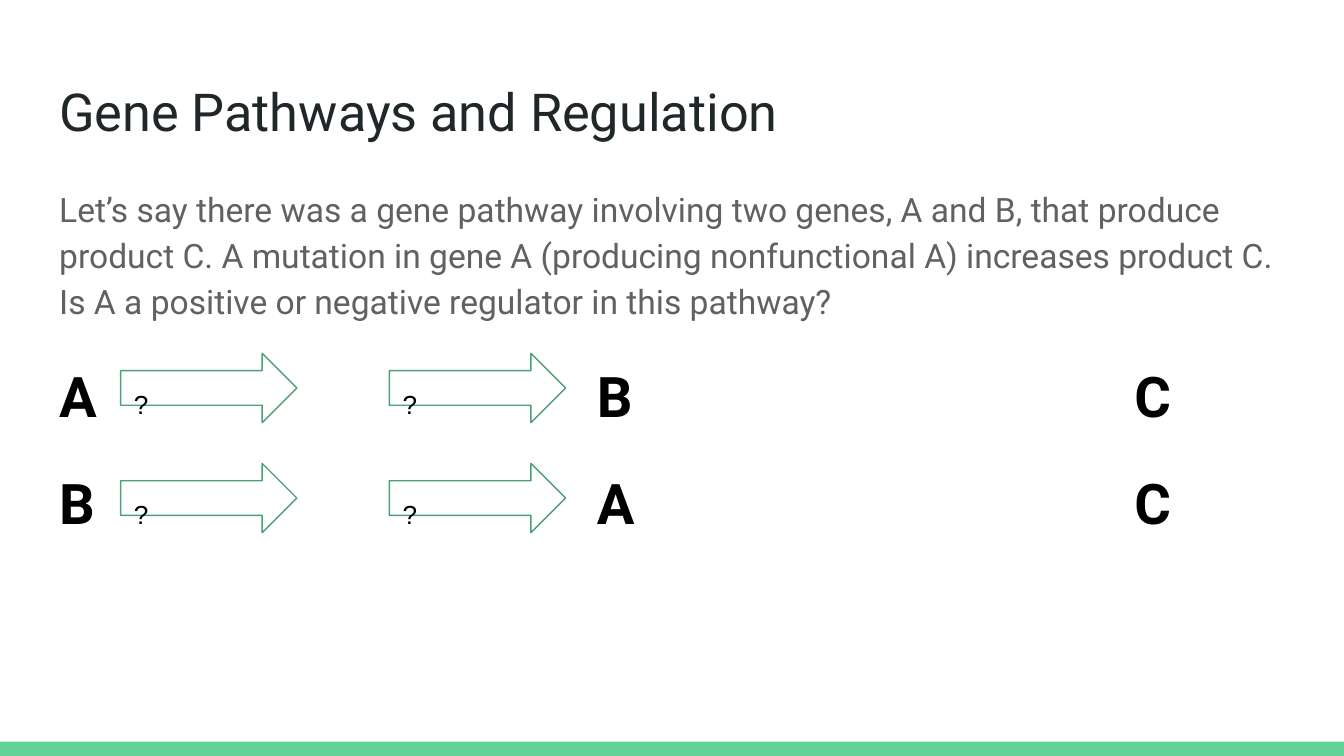
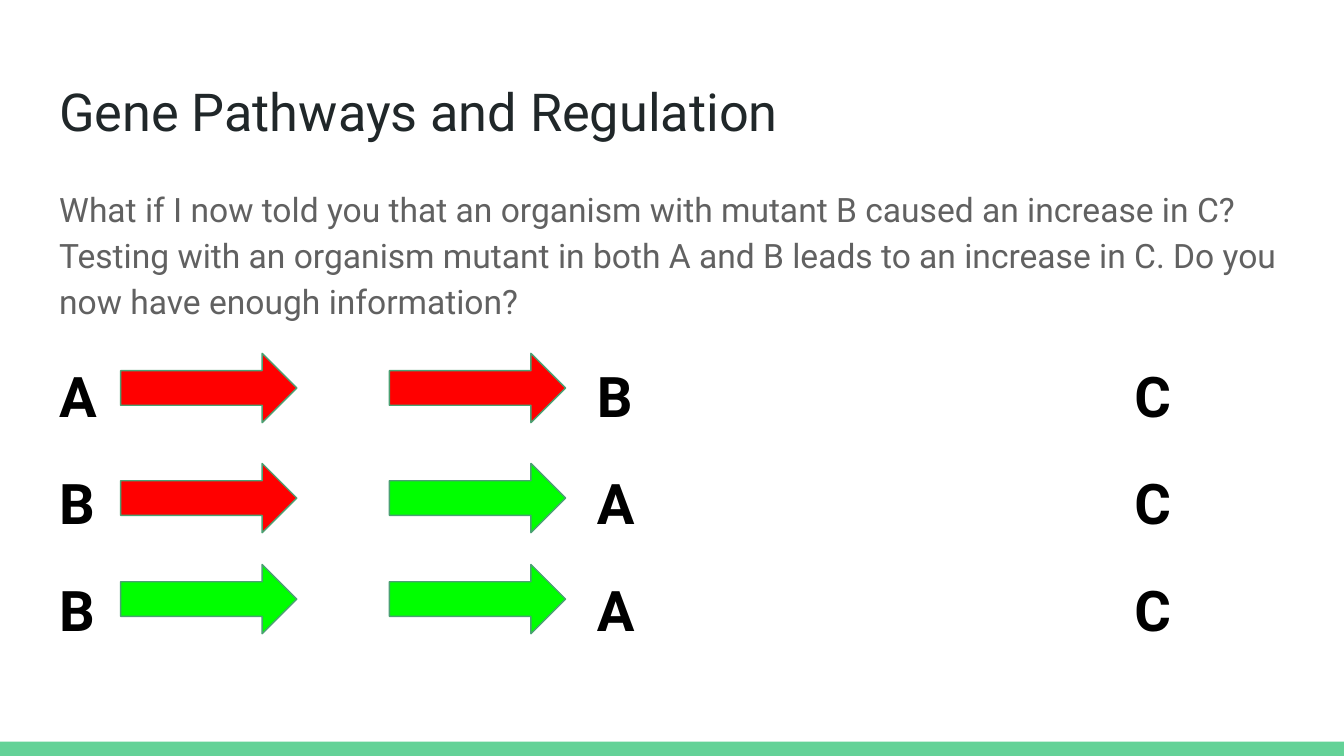
from dataclasses import dataclass
from typing import Optional

import pptx
import pptx.dml.color
import pptx.enum.shapes
import pptx.enum.text
import pptx.oxml.ns
import pptx.util
from lxml import etree
from pptx.util import Cm, Pt


# Theme: colours, fonts and type sizes
@dataclass(frozen=True)
class Theme:
    band: str = "63D297"
    title: str = "202729"
    body: str = "616161"
    ink: str = "000000"
    arrow_line: str = "4BA173"
    red: str = "FF0000"
    green: str = "00FF00"
    font: str = "Roboto"
    arrow_font: str = "Arial"
    title_size: int = 28
    body_size: int = 18
    gene_size: int = 30
    arrow_size: int = 14
    line_spacing: float = 1.15
    paragraph_gap: int = 16


THEME = Theme()

# Layout
SLIDE_WIDTH, SLIDE_HEIGHT = Cm(25.4), Cm(14.29)
BAND_TOP = Cm(14.02)
MARGIN, CONTENT_WIDTH = Cm(0.87), Cm(23.67)
INSET = Cm(0.25)
TAB_STEP = Cm(2.54)
ARROW_LEFT, ARROW_STEP = Cm(2.28), Cm(5.08)
ARROW_TOPS = (Cm(6.68), Cm(8.76), Cm(10.67))
ARROW_WIDTH, ARROW_HEIGHT = Cm(3.33), Cm(1.31)


@dataclass(frozen=True)
class Arrow:
    fill: Optional[str] = None
    label: str = ""


@dataclass(frozen=True)
class Pathway:
    genes: tuple[str, ...]
    arrows: tuple[Arrow, ...]


@dataclass(frozen=True)
class PathwaySlide:
    title: str
    question: str
    pathways: tuple[Pathway, ...]


# Text helpers
def rgb(value: str) -> pptx.dml.color.RGBColor:
    return pptx.dml.color.RGBColor.from_string(value)


def add_run(paragraph, text: str, size: int, color: str,
            font: str = THEME.font, bold: bool = False) -> None:
    run = paragraph.add_run()
    run.text = text
    run.font.name = font
    run.font.size = Pt(size)
    run.font.bold = bold
    run.font.color.rgb = rgb(color)


def set_tabs(paragraph, count: int) -> None:
    """Give the paragraph evenly spaced left tab stops."""
    qualify = pptx.oxml.ns.qn
    properties = paragraph._p.get_or_add_pPr()
    tabs = etree.SubElement(properties, qualify("a:tabLst"))
    for number in range(1, count + 1):
        etree.SubElement(tabs, qualify("a:tab"),
                         pos=str(TAB_STEP * number), algn="l")


def prepare_frame(shape, anchor: pptx.enum.text.MSO_ANCHOR):
    frame = shape.text_frame
    frame.word_wrap = True
    frame.vertical_anchor = anchor
    frame.margin_left = frame.margin_right = INSET
    frame.margin_top = frame.margin_bottom = INSET
    return frame


def add_text_box(slide, top: int, height: int):
    box = slide.shapes.add_textbox(MARGIN, top, CONTENT_WIDTH, height)
    return prepare_frame(box, pptx.enum.text.MSO_ANCHOR.TOP)


# Slide parts
def add_band(slide) -> None:
    band = slide.shapes.add_shape(
        pptx.enum.shapes.MSO_SHAPE.RECTANGLE,
        0, BAND_TOP, SLIDE_WIDTH, SLIDE_HEIGHT - BAND_TOP)
    band.shadow.inherit = False
    band.fill.solid()
    band.fill.fore_color.rgb = rgb(THEME.band)
    band.line.fill.background()


def add_title(slide, text: str) -> None:
    frame = add_text_box(slide, Cm(1.24), Cm(1.6))
    add_run(frame.paragraphs[0], text, THEME.title_size, THEME.title)


def add_body(slide, content: PathwaySlide) -> None:
    frame = add_text_box(slide, Cm(3.2), Cm(9.5))
    paragraph = frame.paragraphs[0]
    paragraph.line_spacing = THEME.line_spacing
    add_run(paragraph, content.question, THEME.body_size, THEME.body)
    for pathway in content.pathways:
        paragraph = frame.add_paragraph()
        paragraph.line_spacing = THEME.line_spacing
        paragraph.space_before = Pt(THEME.paragraph_gap)
        if pathway is content.pathways[-1]:
            paragraph.space_after = Pt(THEME.paragraph_gap)
        set_tabs(paragraph, 8)
        add_run(paragraph, "\t\t\t\t".join(pathway.genes),
                THEME.gene_size, THEME.ink, bold=True)


def add_arrow(slide, arrow: Arrow, left: int, top: int) -> None:
    shape = slide.shapes.add_shape(
        pptx.enum.shapes.MSO_SHAPE.RIGHT_ARROW,
        left, top, ARROW_WIDTH, ARROW_HEIGHT)
    shape.shadow.inherit = False
    shape.line.color.rgb = rgb(THEME.arrow_line)
    shape.line.width = Pt(0.75)
    if arrow.fill:
        shape.fill.solid()
        shape.fill.fore_color.rgb = rgb(arrow.fill)
    else:
        shape.fill.background()
    if arrow.label:
        frame = prepare_frame(shape, pptx.enum.text.MSO_ANCHOR.MIDDLE)
        paragraph = frame.paragraphs[0]
        paragraph.alignment = pptx.enum.text.PP_ALIGN.LEFT
        set_tabs(paragraph, 1)
        add_run(paragraph, arrow.label, THEME.arrow_size, THEME.ink,
                font=THEME.arrow_font)


def add_pathway_slide(presentation, content: PathwaySlide) -> None:
    slide = presentation.slides.add_slide(presentation.slide_layouts[6])
    add_band(slide)
    add_title(slide, content.title)
    add_body(slide, content)
    for pathway, top in zip(content.pathways, ARROW_TOPS):
        for column, arrow in enumerate(pathway.arrows):
            add_arrow(slide, arrow, ARROW_LEFT + column * ARROW_STEP, top)


# Content
TITLE = "Gene Pathways and Regulation"
UNKNOWN = Arrow(label="\t?")
RED, GREEN = Arrow(THEME.red), Arrow(THEME.green)
A_FIRST, B_FIRST = ("A", "B", "C"), ("B", "A", "C")

SLIDES = (
    PathwaySlide(
        TITLE,
        "Let’s say there was a gene pathway involving two genes, A and B, "
        "that produce product C. A mutation in gene A (producing "
        "nonfunctional A) increases product C. Is A a positive or negative "
        "regulator in this pathway?",
        (Pathway(A_FIRST, (UNKNOWN, UNKNOWN)),
         Pathway(B_FIRST, (UNKNOWN, UNKNOWN)))),
    PathwaySlide(
        TITLE,
        "What if I now told you that an organism with mutant B caused an "
        "increase in C? Testing with an organism mutant in both A and B "
        "leads to an increase in C. Do you now have enough information?",
        (Pathway(A_FIRST, (RED, RED)),
         Pathway(B_FIRST, (RED, GREEN)),
         Pathway(B_FIRST, (GREEN, GREEN)))),
)


def main() -> None:
    presentation = pptx.Presentation()
    presentation.slide_width = SLIDE_WIDTH
    presentation.slide_height = SLIDE_HEIGHT
    for content in SLIDES:
        add_pathway_slide(presentation, content)
    presentation.save("out.pptx")


main()
